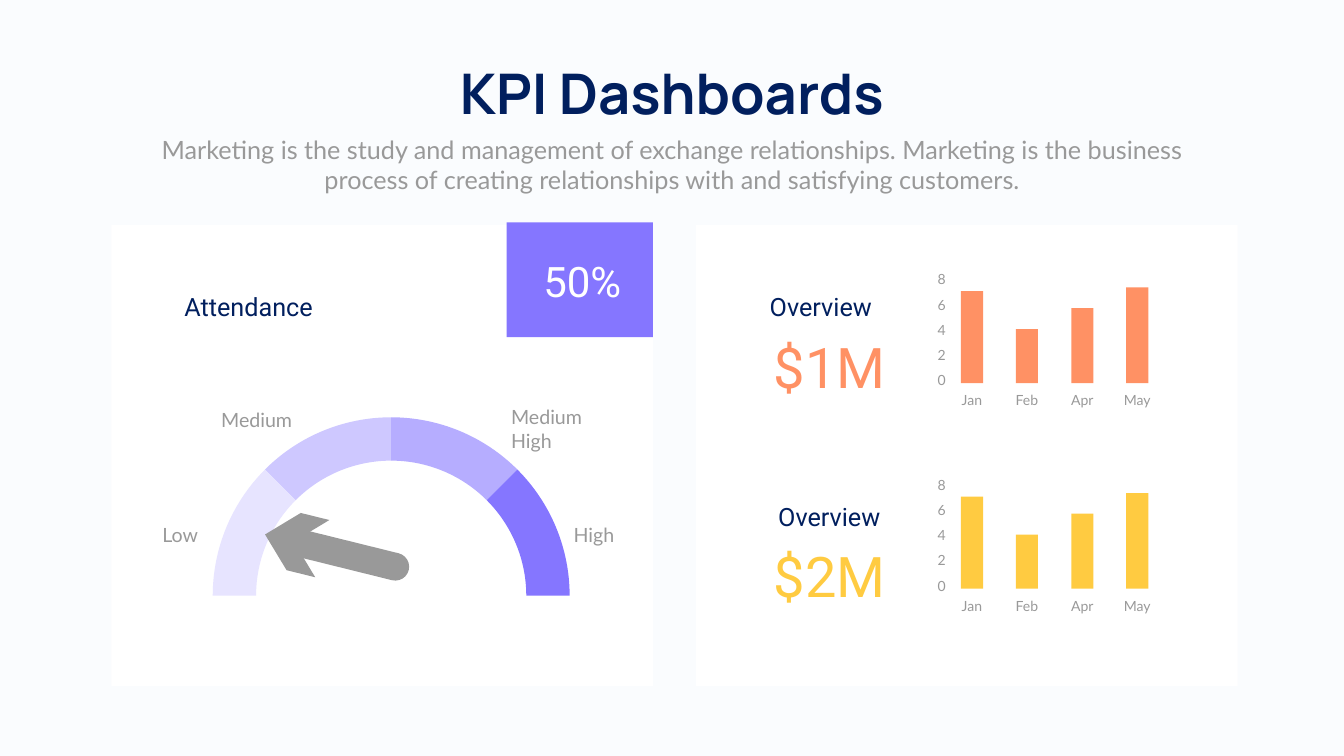
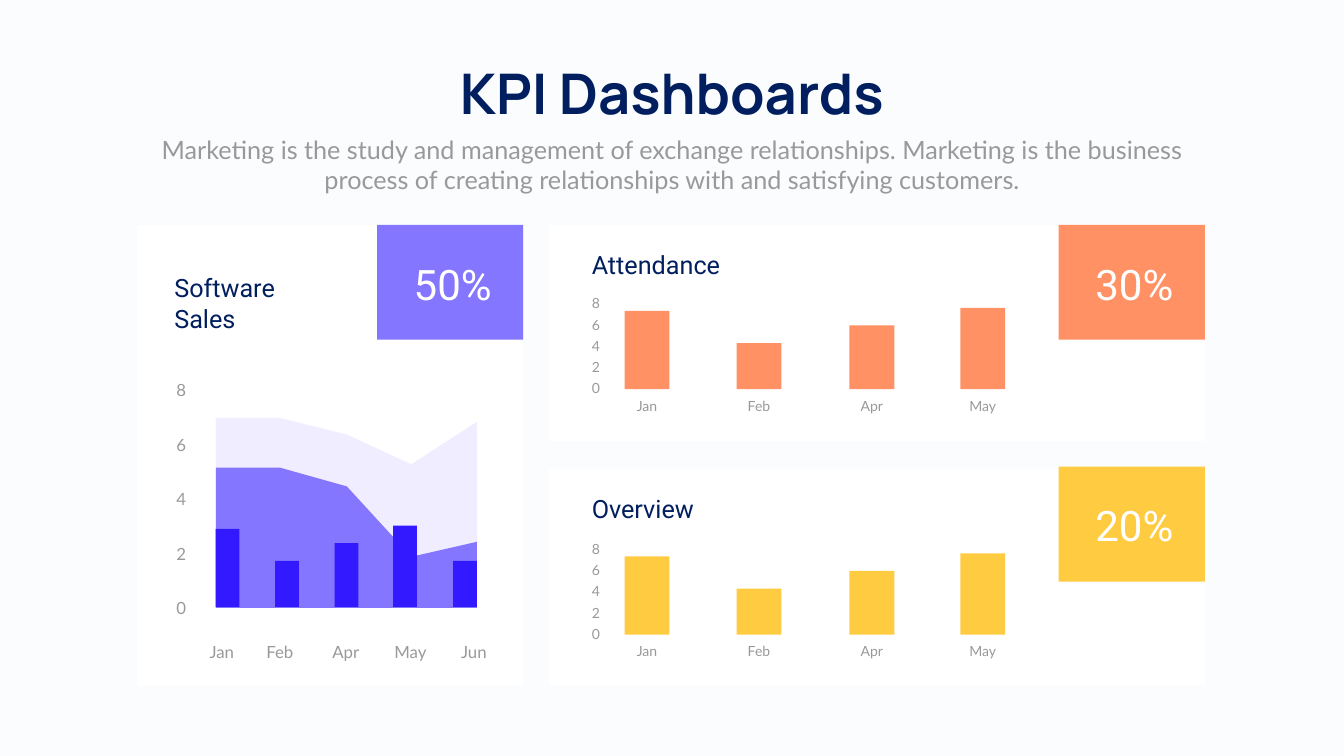
import math
from dataclasses import dataclass
from lxml import etree
from pptx import Presentation
from pptx.dml.color import RGBColor
from pptx.enum import shapes, text
from pptx.oxml import ns

PX = 9144
PAGE_SIZE = (2666, 1500)


@dataclass(frozen=True)
class Theme:
    background: str = "FAFCFE"
    card: str = "FFFFFF"
    navy: str = "011F5E"
    grey: str = "999999"
    violet: str = "8576FF"
    blue: str = "3219FF"
    coral: str = "FF9164"
    yellow: str = "FFCB41"
    gauge: tuple = ("E7E4FF", "CEC8FF", "B6ADFF", "8576FF")
    title_font: str = "Manrope"
    body_font: str = "Lato"
    number_font: str = "Roboto"
    huge: int = 80
    badge: int = 60
    heading: int = 36
    label: int = 28
    axis_large: int = 24
    axis_small: int = 20


THEME = Theme()
LEFT, CENTER, RIGHT = text.PP_ALIGN.LEFT, text.PP_ALIGN.CENTER, text.PP_ALIGN.RIGHT

TITLE = "KPI Dashboards"
SUBTITLE = ("Marketing is the study and management of exchange relationships. "
            "Marketing is the business process of creating relationships with "
            "and satisfying customers.")
TICKS = (0, 2, 4, 6, 8)
MONTHS = ("Jan", "Feb", "Apr", "May")
MONTHLY_VALUES = (7.33, 4.3, 5.97, 7.62)

SALES_MONTHS = ("Jan", "Feb", "Apr", "May", "Jun")
SALES_MONTH_CENTERS = (440, 555, 686, 814, 940)
SALES_AREA_X = (428, 555, 688, 816, 946)
SALES_BARS = (2.86, 1.68, 2.33, 2.98, 1.68)
SALES_AREAS = [
    ((6.96, 6.96, 6.35, 5.26, 6.82), THEME.gauge[0], 64),
    ((5.14, 5.14, 4.45, 1.87, 2.42), THEME.violet, 100),
]
SALES_AREA_BASE = 1206

GAUGE_CENTER = (776, 1182)
GAUGE_RADII = (354, 268)
GAUGE_LABELS = [
    (("Low",), (312, 1033, 188, 57), LEFT),
    (("Medium",), (389, 804, 240, 57), CENTER),
    (("Medium", "High"), (1004, 799, 271, 104), LEFT),
    (("High",), (1128, 1033, 188, 57), LEFT),
]

OVERVIEWS = [
    ("$1M", THEME.coral, 760, (1517, 574, 332, 71), LEFT, (1522, 654, 248, 145)),
    ("$2M", THEME.yellow, 1168, (1479, 989, 332, 71), CENTER, (1517, 1069, 257, 145)),
]
WIDE_CARDS = [
    ("Attendance", "30%", THEME.coral, 446, 446, 490, 772),
    ("Overview", "20%", THEME.yellow, 930, 926, 973, 1259),
]


@dataclass(frozen=True)
class Plot:
    bar_lefts: tuple
    bar_width: int
    unit: float
    month_box: tuple
    month_drop: int
    tick_box: tuple
    tick_shift: tuple
    size: int


NARROW_PLOT = Plot((1906, 2015, 2125, 2234), 44, 24.9, (96, 60), 12, (62, 37), (82, 28),
                   THEME.axis_small)
WIDE_PLOT = Plot((1239, 1461, 1685, 1905), 89, 21.15, (195, 51), 11, (50, 31), (89, 23),
                 THEME.axis_small)
SALES_PLOT = Plot((428, 546, 664, 780, 899), 47, 54.13, (141, 47), 65, (86, 47), (135, 22),
                  THEME.axis_large)


def emu(*lengths):
    return [round(length * PX) for length in lengths]


def paint(shape, color, opacity=100):
    shape.shadow.inherit = False
    shape.line.fill.background()
    shape.fill.solid()
    shape.fill.fore_color.rgb = RGBColor.from_string(color)
    if opacity < 100:
        color_node = shape.fill._xPr.find(".//" + ns.qn("a:srgbClr"))
        etree.SubElement(color_node, ns.qn("a:alpha"), val=str(opacity * 1000))
    return shape


def add_block(page, area, color, kind=shapes.MSO_SHAPE.RECTANGLE, rotation=0):
    block = paint(page.shapes.add_shape(kind, *emu(*area)), color)
    block.rotation = rotation
    return block


def add_outline(page, points, color, opacity=100):
    corners = [tuple(emu(*point)) for point in points]
    builder = page.shapes.build_freeform(*corners[0], scale=1)
    builder.add_line_segments(corners[1:], close=True)
    return paint(builder.convert_to_shape(), color, opacity)


def add_text(page, lines, area, size, font, color, align=LEFT, bold=False, wrap=True):
    frame = page.shapes.add_textbox(*emu(*area)).text_frame
    frame.word_wrap = wrap
    for index, line in enumerate(lines):
        para = frame.add_paragraph() if index else frame.paragraphs[0]
        para.text = line
        para.alignment = align
        para.font.size = size * 12700
        para.font.name = font
        para.font.bold = bold
        para.font.color.rgb = RGBColor.from_string(color)


def add_label(page, lines, area, size, align=LEFT):
    add_text(page, lines, area, size, THEME.body_font, THEME.grey, align)


def add_heading(page, lines, area, align=LEFT):
    add_text(page, lines, area, THEME.heading, THEME.number_font, THEME.navy, align)


def add_badge(page, value, left, top, color):
    add_block(page, (left, top, 290, 228), color)
    add_text(page, [value], (left + 56, top + 61, 188, 111), THEME.badge,
             THEME.number_font, THEME.card, CENTER)


def add_bars(page, plot, base, values, color):
    for left, value in zip(plot.bar_lefts, values):
        height = value * plot.unit
        add_block(page, (left, base - height, plot.bar_width, height), color)


def add_axes(page, plot, base, months, centers):
    width, height = plot.month_box
    for month, center in zip(months, centers):
        area = (center - width / 2, base + plot.month_drop, width, height)
        add_label(page, [month], area, plot.size, CENTER)
    shift_left, shift_up = plot.tick_shift
    for tick in TICKS:
        top = base - shift_up - tick * plot.unit
        area = (plot.bar_lefts[0] - shift_left, top, *plot.tick_box)
        add_label(page, [str(tick)], area, plot.size, RIGHT)


def add_monthly_plot(page, plot, base, color):
    add_bars(page, plot, base, MONTHLY_VALUES, color)
    centers = [left + plot.bar_width / 2 for left in plot.bar_lefts]
    add_axes(page, plot, base, MONTHS, centers)


def arc(radius, start, stop):
    start, stop = math.radians(start), math.radians(stop)
    reach = 4 / 3 * math.tan((stop - start) / 4)
    unit_points = [
        (-math.cos(start), -math.sin(start)),
        (-math.cos(start) + reach * math.sin(start), -math.sin(start) - reach * math.cos(start)),
        (-math.cos(stop) - reach * math.sin(stop), -math.sin(stop) + reach * math.cos(stop)),
        (-math.cos(stop), -math.sin(stop)),
    ]
    center_x, center_y = GAUGE_CENTER
    return [(center_x + radius * x, center_y + radius * y) for x, y in unit_points]


def bend(shape, segment, handles):
    segment.tag = ns.qn("a:cubicBezTo")
    for index, handle in enumerate(handles):
        x, y = emu(*handle)
        node = etree.Element(ns.qn("a:pt"), x=str(x - shape.left), y=str(y - shape.top))
        segment.insert(index, node)


def add_gauge_sector(page, start, stop, color):
    outer_radius, inner_radius = GAUGE_RADII
    outer, inner = arc(outer_radius, start, stop), arc(inner_radius, stop, start)
    sector = add_outline(page, (outer[0], outer[3], inner[0], inner[3]), color)
    segments = sector._element.findall(".//" + ns.qn("a:lnTo"))
    bend(sector, segments[0], outer[1:3])
    bend(sector, segments[2], inner[1:3])


def add_gauge(page):
    sweep = 180 / len(THEME.gauge)
    for index in (1, 2, 0, 3):
        add_gauge_sector(page, index * sweep, (index + 1) * sweep, THEME.gauge[index])
    shaft = add_block(page, (662, 976, 55, 250), THEME.grey,
                      shapes.MSO_SHAPE.ROUNDED_RECTANGLE, 283.9)
    shaft.adjustments[0] = 0.5
    add_block(page, (524, 1016, 117, 117), THEME.grey, shapes.MSO_SHAPE.CHEVRON, 193.9)
    for lines, area, align in GAUGE_LABELS:
        add_label(page, lines, area, THEME.label, align)


def add_page(deck):
    page = deck.slides.add_slide(deck.slide_layouts[6])
    page.background.fill.solid()
    page.background.fill.fore_color.rgb = RGBColor.from_string(THEME.background)
    add_text(page, [TITLE], (867, 112, 932, 145), THEME.huge, THEME.title_font,
             THEME.navy, CENTER, bold=True, wrap=False)
    add_label(page, [SUBTITLE], (292, 261, 2082, 131), THEME.heading, CENTER)
    return page


def build_attendance_page(deck):
    page = add_page(deck)
    add_block(page, (221, 446, 1074, 915), THEME.card)
    add_badge(page, "50%", 1005, 441, THEME.violet)
    add_gauge(page)
    add_block(page, (1381, 446, 1074, 915), THEME.card)
    add_heading(page, ["Attendance"], (356, 574, 332, 71))
    for amount, color, base, heading_area, align, amount_area in OVERVIEWS:
        add_heading(page, ["Overview"], heading_area, align)
        add_text(page, [amount], amount_area, THEME.huge, THEME.number_font, color,
                 CENTER, wrap=False)
        add_monthly_plot(page, NARROW_PLOT, base, color)


def build_sales_page(deck):
    page = add_page(deck)
    add_block(page, (272, 446, 766, 915), THEME.card)
    add_badge(page, "50%", 748, 446, THEME.violet)
    add_heading(page, ["Software", "Sales"], (336, 536, 560, 131))
    for name, share, color, card_top, badge_top, heading_top, base in WIDE_CARDS:
        add_block(page, (1089, card_top, 1301, 429), THEME.card)
        add_badge(page, share, 2100, badge_top, color)
        add_heading(page, [name], (1164, heading_top, 560, 71))
        add_monthly_plot(page, WIDE_PLOT, base, color)
    base = SALES_AREA_BASE - 2
    add_axes(page, SALES_PLOT, base, SALES_MONTHS, SALES_MONTH_CENTERS)
    for values, color, opacity in SALES_AREAS:
        points = [(x, SALES_AREA_BASE - value * SALES_PLOT.unit)
                  for x, value in zip(SALES_AREA_X, values)]
        points += [(SALES_AREA_X[-1], SALES_AREA_BASE), (SALES_AREA_X[0], SALES_AREA_BASE)]
        add_outline(page, points, color, opacity)
    add_bars(page, SALES_PLOT, base, SALES_BARS, THEME.blue)


def main():
    deck = Presentation()
    deck.slide_width, deck.slide_height = emu(*PAGE_SIZE)
    build_attendance_page(deck)
    build_sales_page(deck)
    deck.save("out.pptx")


if __name__ == "__main__":
    main()
